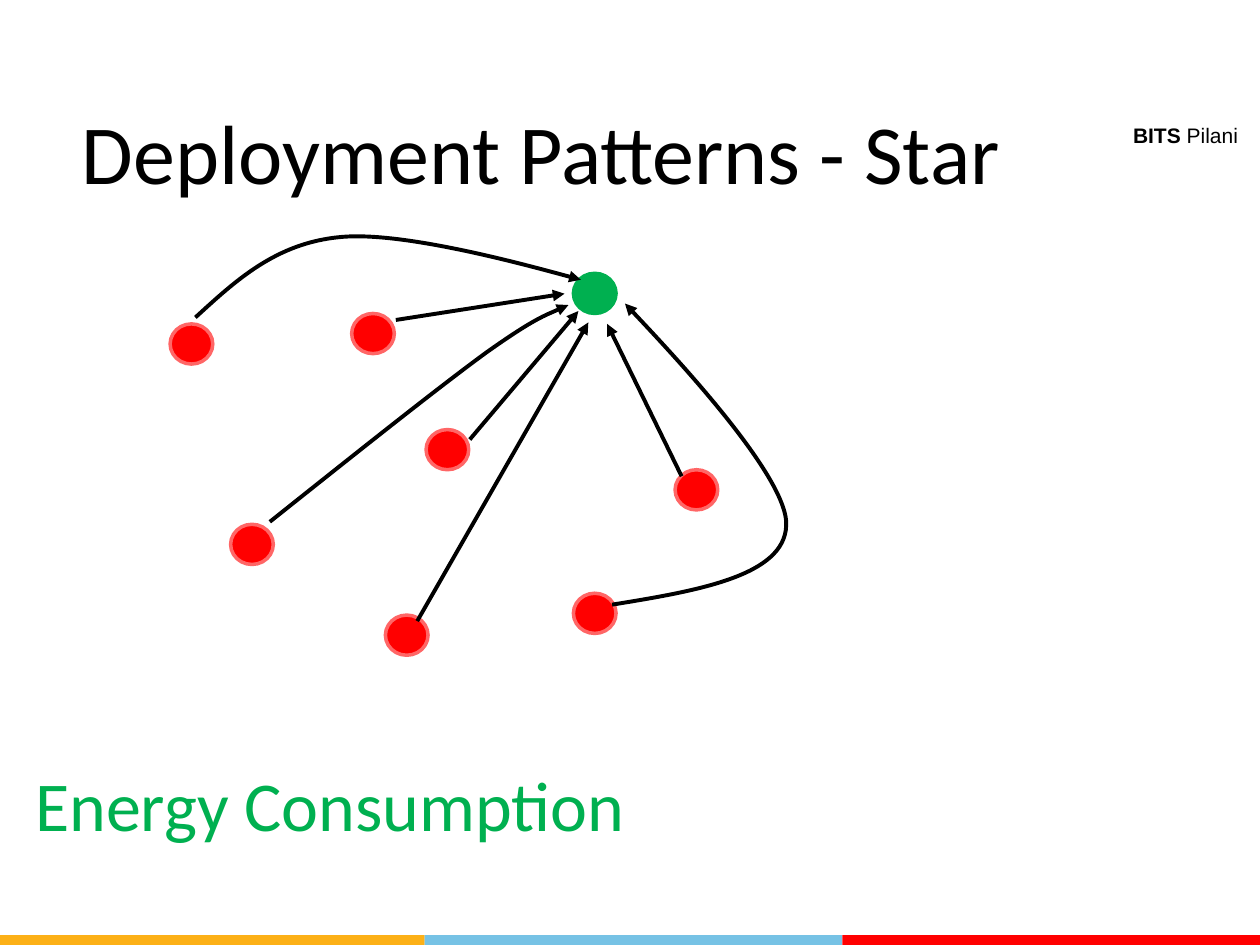
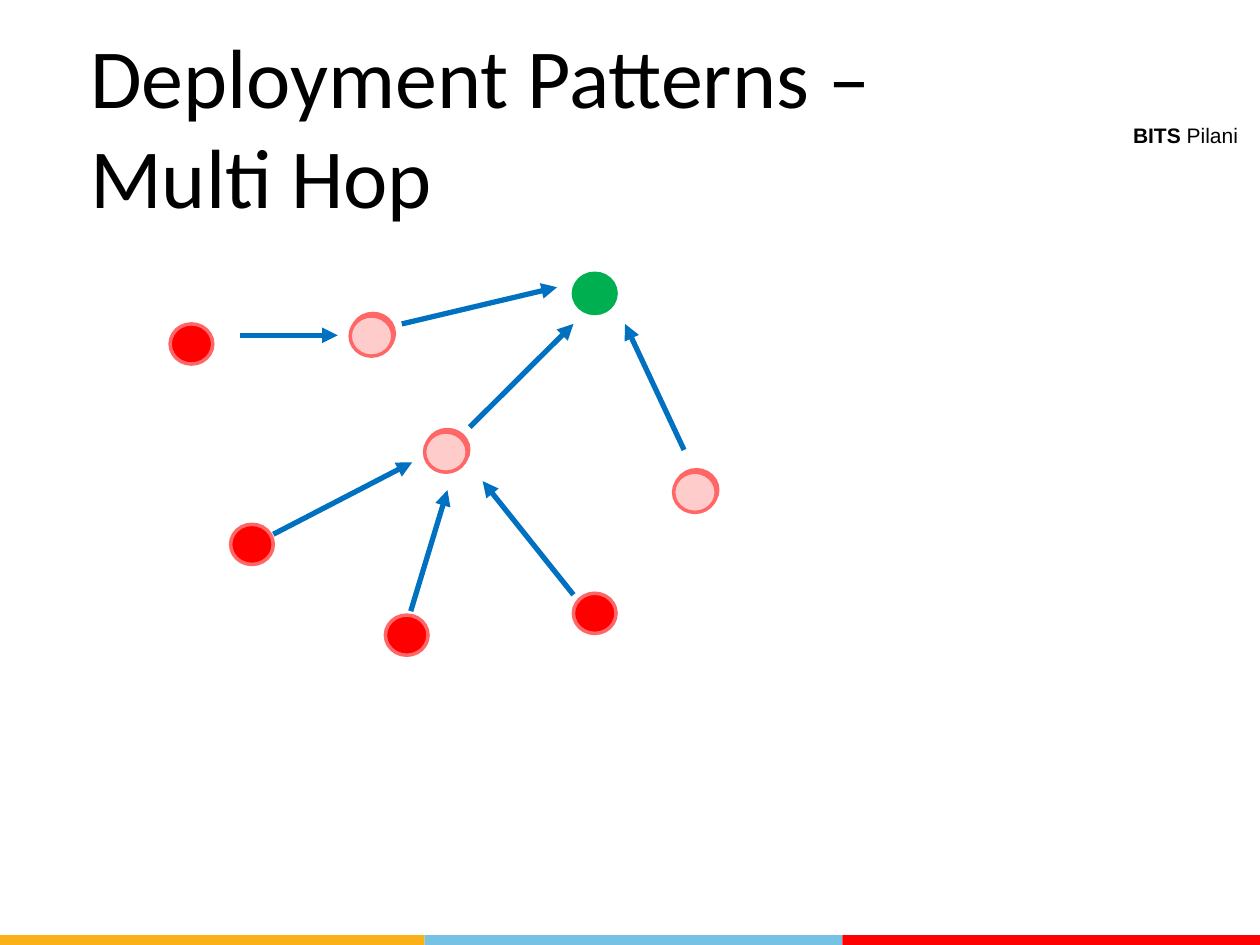
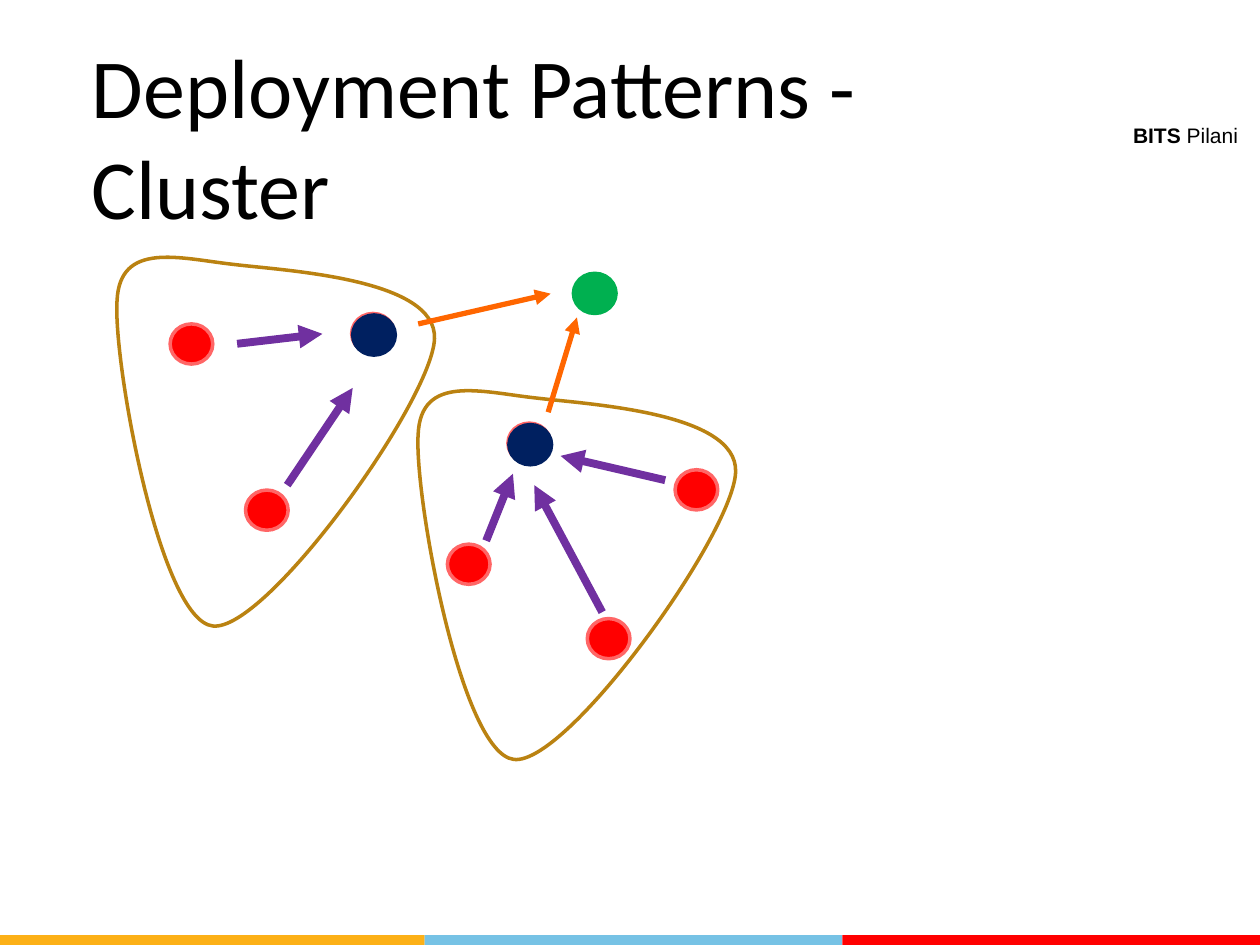
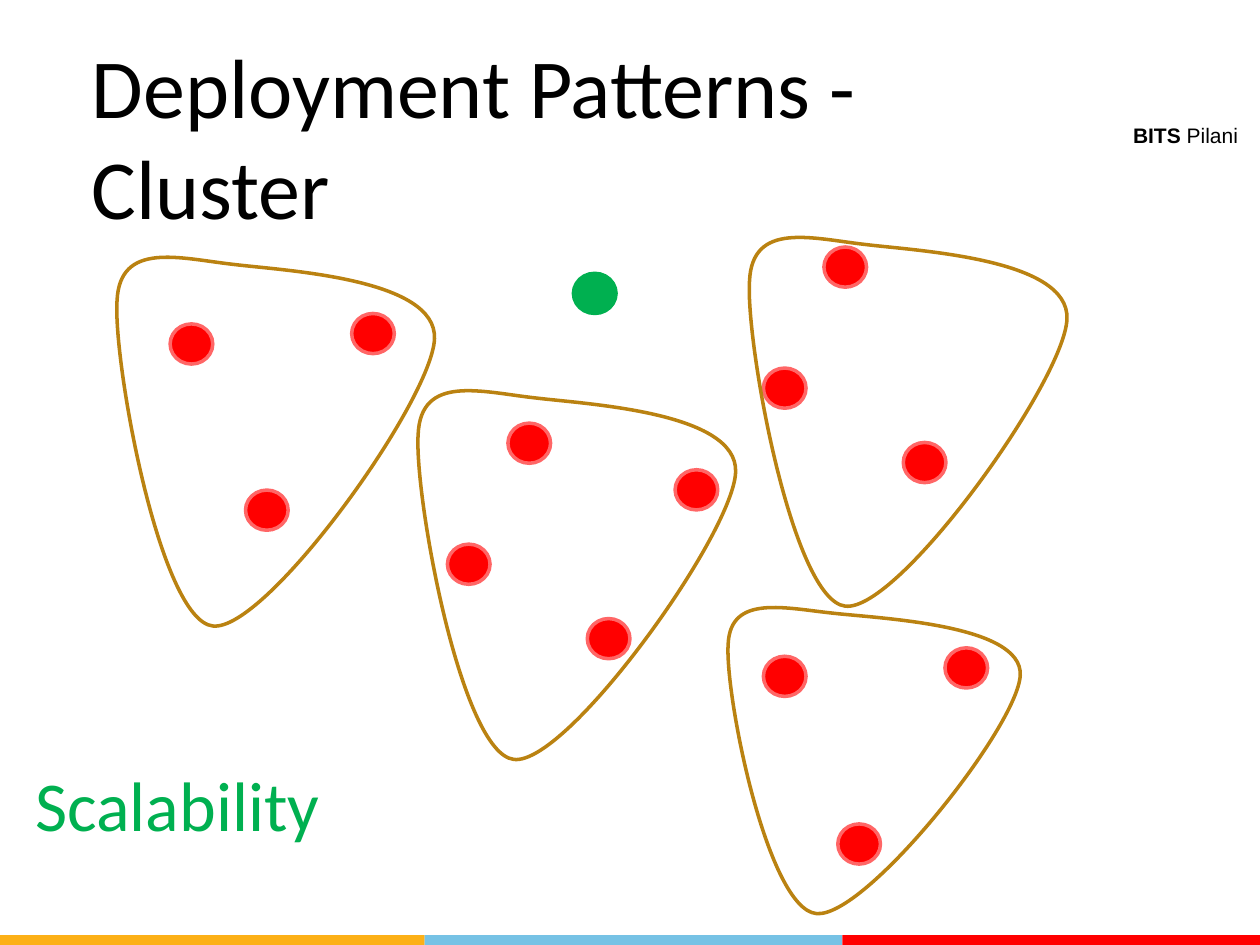
from lxml.etree import SubElement
from pptx import Presentation
from pptx.dml.color import RGBColor
from pptx.enum.shapes import MSO_CONNECTOR as Connector, MSO_SHAPE as Preset
from pptx.enum.text import MSO_ANCHOR as Anchor, MSO_AUTO_SIZE as AutoSize, PP_ALIGN as Align
from pptx.oxml.ns import qn
from pptx.util import Cm, Pt

# Shared style; all positions and sizes are in centimetres
BLACK, RED, ROSE, PINK = "000000", "FF0000", "FF6666", "FFCCCC"
GREEN, NAVY, BLUE = "00B050", "002060", "0070C0"
PURPLE, ORANGE, GOLD = "7030A0", "FF6600", "BA8211"
BANDS = [("FCB017", 8.56), ("76C2E5", 8.42), (RED, 8.42)]
BAND_TOP, BAND_HEIGHT = 18.85, 0.2
NODE_WIDTH, NODE_HEIGHT = 0.86, 0.81
HUB = (11.56, 5.51)

# Sensor nodes (left, top) of the star and multi-hop slides
RELAYS = [(7.09, 6.32), (8.59, 8.66), (13.61, 9.47)]
NODES = [(3.43, 6.53), (4.65, 10.57), (7.77, 12.4), (11.56, 11.96)] + RELAYS

# Arrows of each slide: (start, end)
STAR_ARROWS = [
    ((9.47, 8.86), (11.66, 6.27)),
    ((13.74, 9.6), (12.24, 6.53)),
    ((7.98, 6.45), (11.38, 5.92)),
    ((8.41, 12.52), (11.86, 6.5)),
]
HOP_ARROWS = [
    ((4.83, 6.76), (6.81, 6.76)),
    ((8.1, 6.53), (11.23, 5.79)),
    ((5.51, 10.77), (8.31, 9.32)),
    ((9.47, 8.61), (11.56, 6.53)),
    ((8.28, 12.32), (9.02, 9.88)),
    ((11.56, 11.99), (9.73, 9.7)),
    ((13.79, 9.07), (12.6, 6.53)),
]
MEMBER_ARROWS = [
    ((4.78, 6.93), (6.5, 6.73)),
    ((5.79, 9.78), (7.11, 7.82)),
    ((9.8, 10.9), (10.34, 9.55)),
    ((12.14, 12.34), (10.77, 9.78)),
    ((13.41, 9.68), (11.3, 9.19)),
]
HEAD_ARROWS = [
    ((8.43, 6.53), (11.1, 5.92)),
    ((11.05, 8.31), (11.63, 6.4)),
]

# Curves: a start, then (control, control, end) for each segment
STAR_CURVES = [
    ((3.94, 6.4), [((4.75, 5.66), (5.56, 4.9), (6.86, 4.78)),
                   ((8.15, 4.65), (11.71, 5.64), (11.71, 5.64))]),
    ((5.44, 10.52), [((7.11, 9.19), (8.79, 7.85), (9.8, 7.11)),
                     ((10.8, 6.4), (11.46, 6.15), (11.46, 6.15))]),
    ((12.34, 12.19), [((14.07, 11.91), (15.82, 11.61), (15.85, 10.59)),
                      ((15.9, 9.58), (12.6, 6.12), (12.6, 6.12))]),
]
OUTLINE_START = (2.34, 0.15)
OUTLINE_SEGMENTS = [
    ((1.27, 0.03), (0.05, -0.33), (0, 0.89)),
    ((-0.08, 2.11), (0.86, 7.32), (1.93, 7.44)),
    ((3, 7.57), (6.35, 2.9), (6.4, 1.65)),
    ((6.45, 0.43), (3.4, 0.28), OUTLINE_START),
]

# Clusters: outline corner, outline scale, nodes (a head comes first)
LEFT_CLUSTER = ((2.36, 5.18), (1, 1), [(7.09, 6.32), (3.43, 6.53), (4.95, 9.88)])
MIDDLE_CLUSTER = ((8.43, 7.87), (1, 1),
                  [(10.24, 8.53), (9.02, 10.97), (13.61, 9.47), (11.84, 12.47)])
LOWER_CLUSTER = ((14.68, 12.24), (0.92, 0.83),
                 [(15.39, 13.23), (16.89, 16.61), (19.05, 13.06)])
RIGHT_CLUSTER = ((15.11, 4.78), (1, 1), [(15.39, 7.42), (16.61, 4.98), (18.21, 8.92)])


def rgb(color):
    return RGBColor.from_string(color)


def shift(point, offset):
    return point[0] + offset[0], point[1] + offset[1]


def style_line(line, color, width, arrow=False):
    line.color.rgb = rgb(color)
    line.width = Pt(width)
    if arrow:
        SubElement(line.color and line._get_or_add_ln(), qn("a:tailEnd"), type="triangle")


def add_filled(slide, preset, box, fill, line=None):
    shape = slide.shapes.add_shape(preset, *map(Cm, box))
    shape.shadow.inherit = False
    shape.fill.solid()
    shape.fill.fore_color.rgb = rgb(fill)
    if line:
        style_line(shape.line, line, 2)
    else:
        shape.line.fill.background()


def add_nodes(slide, corners, fill=RED, line=ROSE):
    for corner in corners:
        add_filled(slide, Preset.OVAL, (*corner, NODE_WIDTH, NODE_HEIGHT), fill, line)


def add_arrows(slide, arrows, color, width):
    for start, end in arrows:
        connector = slide.shapes.add_connector(
            Connector.STRAIGHT, *map(Cm, (*start, *end)))
        style_line(connector.line, color, width, arrow=True)
        SubElement(connector.element.spPr, qn("a:effectLst"))


def add_curve(slide, start, segments, color, width, closed=False):
    """Draw straight segments between the ends, then bend them with the controls."""
    builder = slide.shapes.build_freeform(*map(Cm, start))
    ends = [tuple(map(Cm, segment[-1])) for segment in segments]
    builder.add_line_segments(ends, close=closed)
    shape = builder.convert_to_shape()
    for step, segment in zip(list(shape.element.iter(qn("a:lnTo"))), segments):
        step.tag = qn("a:cubicBezTo")
        for index, (x, y) in enumerate(segment[:2]):
            point = SubElement(step, qn("a:pt"), x=str(Cm(x) - shape.left),
                               y=str(Cm(y) - shape.top))
            step.insert(index, point)
    shape.shadow.inherit = False
    shape.fill.background()
    style_line(shape.line, color, width, arrow=not closed)


def add_outline(slide, corner, scale):
    def place(point):
        return shift(corner, (point[0] * scale[0], point[1] * scale[1]))

    segments = [tuple(map(place, segment)) for segment in OUTLINE_SEGMENTS]
    add_curve(slide, place(OUTLINE_START), segments, GOLD, 2, closed=True)


def add_text(slide, box, runs, size, font="Calibri", color=BLACK,
             anchor=Anchor.BOTTOM, align=Align.LEFT, margin=0.25):
    """Add one paragraph; runs are (text, bold) pairs."""
    frame = slide.shapes.add_textbox(*map(Cm, box)).text_frame
    frame.word_wrap = True
    frame.auto_size = AutoSize.NONE
    frame.vertical_anchor = anchor
    frame.margin_left = frame.margin_right = Cm(0.25)
    frame.margin_top = frame.margin_bottom = Cm(margin)
    paragraph = frame.paragraphs[0]
    paragraph.alignment = align
    for text, bold in runs:
        run = paragraph.add_run()
        run.text = text
        run.font.name = font
        run.font.size = Pt(size)
        run.font.bold = bold
        run.font.color.rgb = rgb(color)


def add_caption(slide, text):
    add_text(slide, (0.46, 15.06, 18.14, 2.24), [(text, False)], 40, color=GREEN)


def add_base_slide(presentation, title, title_box):
    """Add a slide with bands, label and title."""
    slide = presentation.slides.add_slide(presentation.slide_layouts[6])
    left = 0
    for color, width in BANDS:
        add_filled(slide, Preset.RECTANGLE, (left, BAND_TOP, width, BAND_HEIGHT), color)
        left += width
    add_text(slide, (22.48, 2.34, 2.84, 0.74), [("BITS", True), (" Pilani", False)], 12,
             font="Arial", anchor=Anchor.TOP, align=Align.CENTER, margin=0.13)
    add_text(slide, title_box, [(title, False)], 48)
    return slide


def add_star_slide(presentation):
    slide = add_base_slide(presentation, "Deployment Patterns - Star",
                           (1.4, 1.12, 19.69, 3.18))
    add_nodes(slide, NODES)
    add_nodes(slide, [HUB], GREEN, GREEN)
    add_arrows(slide, STAR_ARROWS, BLACK, 2.25)
    for start, segments in STAR_CURVES:
        add_curve(slide, start, segments, BLACK, 2.25)
    add_caption(slide, "Energy Consumption")


def add_hop_slide(presentation):
    slide = add_base_slide(presentation, "Deployment Patterns – Multi Hop",
                           (1.57, 2.51, 18.14, 2.29))
    add_nodes(slide, NODES)
    add_nodes(slide, [HUB], GREEN, GREEN)
    add_arrows(slide, HOP_ARROWS, BLUE, 3)
    add_nodes(slide, [shift(relay, (-0.03, 0.05)) for relay in RELAYS], PINK)


def add_cluster_slide(presentation, clusters):
    slide = add_base_slide(presentation, "Deployment Patterns - Cluster",
                           (1.6, 2.72, 18.14, 2.29))
    for corner, scale, nodes in clusters:
        add_nodes(slide, nodes)
        add_outline(slide, corner, scale)
    add_nodes(slide, [HUB], GREEN, GREEN)
    return slide


def main():
    presentation = Presentation()
    presentation.slide_width, presentation.slide_height = Cm(25.4), Cm(19.05)

    add_star_slide(presentation)
    add_hop_slide(presentation)

    # Clusters with heads that report to the hub
    clusters = [LEFT_CLUSTER, MIDDLE_CLUSTER]
    slide = add_cluster_slide(presentation, clusters)
    heads = [shift(nodes[0], (0.02, 0.03)) for _, _, nodes in clusters]
    add_nodes(slide, heads, NAVY, NAVY)
    add_arrows(slide, MEMBER_ARROWS, PURPLE, 4.5)
    add_arrows(slide, HEAD_ARROWS, ORANGE, 3)

    # More clusters
    slide = add_cluster_slide(presentation, clusters + [LOWER_CLUSTER, RIGHT_CLUSTER])
    add_caption(slide, "Scalability")

    presentation.save("out.pptx")


if __name__ == "__main__":
    main()
